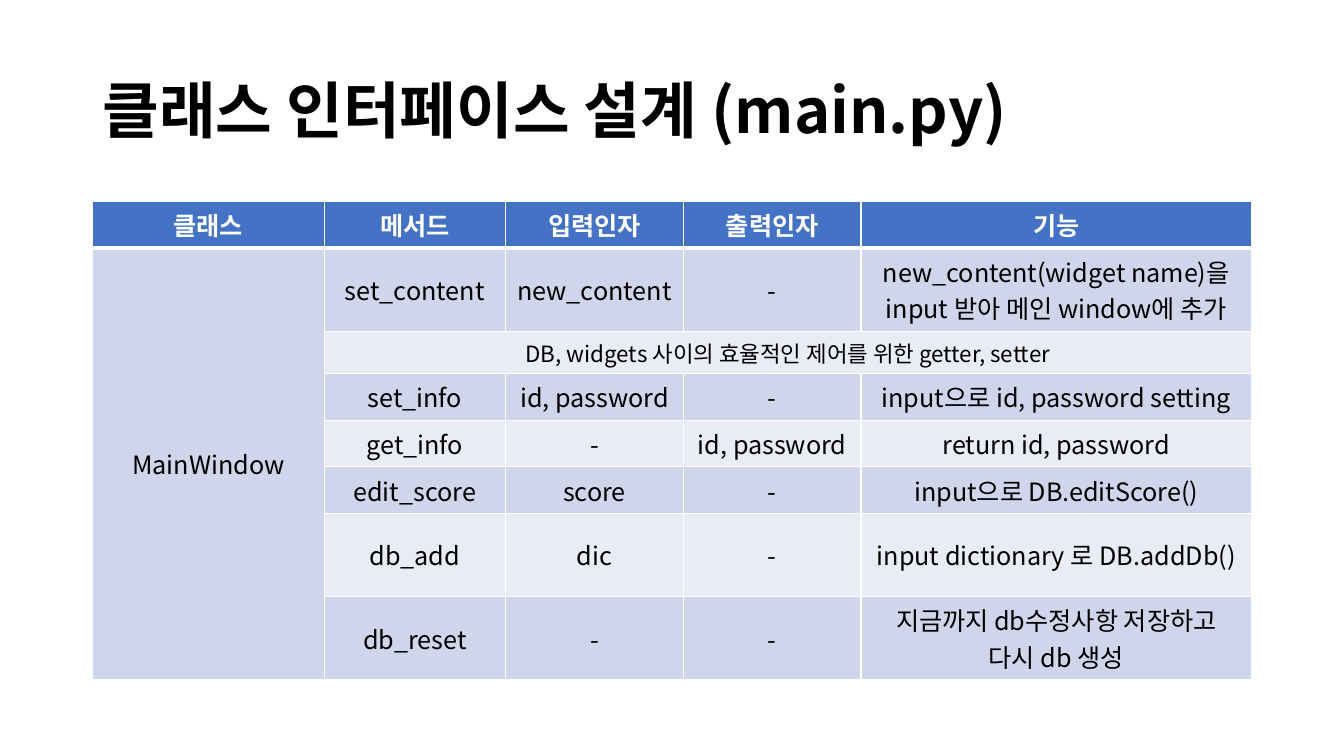
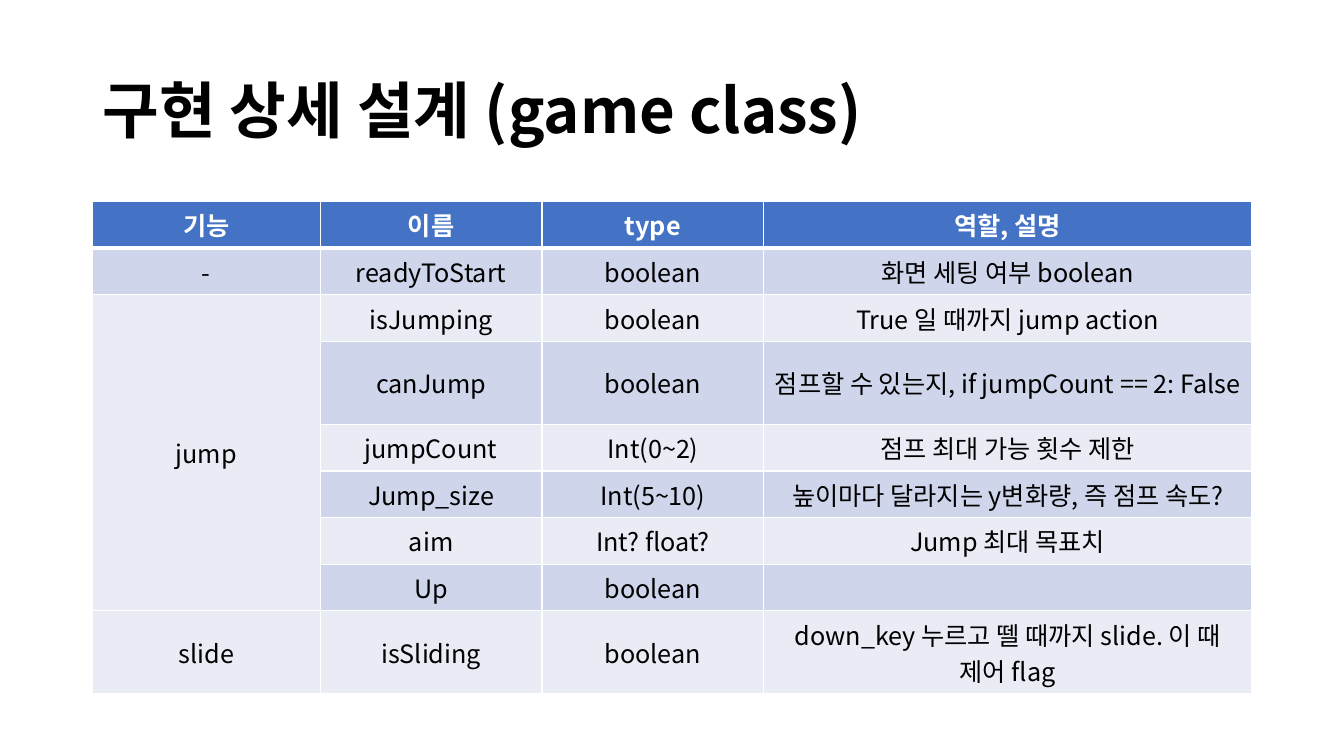
"""Builds two class design slides, each with a title and a table."""
import dataclasses

import lxml.etree
import pptx
import pptx.dml.color
import pptx.enum.text
import pptx.oxml.ns
import pptx.util

Cm = pptx.util.Cm
Pt = pptx.util.Pt
Align = pptx.enum.text.PP_ALIGN
qn = pptx.oxml.ns.qn


@dataclasses.dataclass(frozen=True)
class Theme:
    """Colours, type sizes and line widths of the deck."""
    font: str = "Noto Sans CJK KR"
    ink: str = "000000"
    paper: str = "FFFFFF"
    header: str = "4472C4"
    bands: tuple = ("E9EBF5", "CFD5EA")
    title_size: int = 44
    cell_size: int = 18
    note_size: int = 16
    rule: int = 1
    header_rule: int = 3


@dataclasses.dataclass(frozen=True)
class Box:
    """A region of the page, in centimetres."""
    left: float
    top: float
    width: float
    height: float


@dataclasses.dataclass(frozen=True)
class Sheet:
    """Content of one slide; merges hold first and last row and column."""
    title: str
    columns: tuple
    rows: tuple
    merges: tuple


THEME = Theme()
TITLE_BOX = Box(2.33, 1.01, 29.21, 3.68)
TABLE_BOX = Box(2.33, 5.08, 29.21, 9.27)
ROW_HEIGHT = 1.03

SHEETS = (
    Sheet(
        "클래스 인터페이스 설계 (main.py)",
        (5.84, 4.57, 4.48, 4.48, 9.84),
        (
            ("클래스", "메서드", "입력인자", "출력인자", "기능"),
            ("MainWindow", "set_content", "new_content", "-",
             "new_content(widget name)을 input 받아 메인 window에 추가"),
            ("", "DB, widgets 사이의 효율적인 제어를 위한 getter, setter", "", "", ""),
            ("", "set_info", "id, password", "-", "input으로 id, password setting"),
            ("", "get_info", "-", "id, password", "return id, password"),
            ("", "edit_score", "score", "-", "input으로 DB.editScore()"),
            ("", "db_add", "dic", "-", "input dictionary 로 DB.addDb()"),
            ("", "db_reset", "-", "-", "지금까지 db수정사항 저장하고 다시 db 생성"),
        ),
        ((1, 0, 7, 0), (2, 1, 2, 4)),
    ),
    Sheet(
        "구현 상세 설계 (game class)",
        (5.74, 5.59, 5.59, 12.29),
        (
            ("기능", "이름", "type", "역할, 설명"),
            ("-", "readyToStart", "boolean", "화면 세팅 여부 boolean"),
            ("jump", "isJumping", "boolean", "True 일 때까지 jump action"),
            ("", "canJump", "boolean", "점프할 수 있는지, if jumpCount == 2: False"),
            ("", "jumpCount", "Int(0~2)", "점프 최대 가능 횟수 제한"),
            ("", "Jump_size", "Int(5~10)", "높이마다 달라지는 y변화량, 즉 점프 속도?"),
            ("", "aim", "Int? float?", "Jump 최대 목표치"),
            ("", "Up", "boolean", ""),
            ("slide", "isSliding", "boolean",
             "down_key 누르고 뗄 때까지 slide. 이 때 제어 flag"),
        ),
        ((2, 0, 7, 0),),
    ),
)


def rgb(value):
    """Return the colour for a hex value."""
    return pptx.dml.color.RGBColor.from_string(value)


def style_paragraph(para, size, color, bold, align):
    """Set the font, also for Korean text, and the alignment."""
    para.alignment = align
    font = para.font
    font.name = THEME.font
    font.size = Pt(size)
    font.bold = bold
    font.color.rgb = rgb(color)
    properties = para._p.pPr.find(qn("a:defRPr"))
    lxml.etree.SubElement(properties, qn("a:ea"), typeface=THEME.font)


def set_borders(cell, bottom):
    """Rule the four sides of a cell, with its own width at the bottom."""
    properties = cell._tc.get_or_add_tcPr()
    widths = dict.fromkeys(("lnL", "lnR", "lnT"), THEME.rule) | {"lnB": bottom}
    for index, (side, width) in enumerate(widths.items()):
        line = lxml.etree.Element(qn(f"a:{side}"), w=str(Pt(width)))
        fill = lxml.etree.SubElement(line, qn("a:solidFill"))
        lxml.etree.SubElement(fill, qn("a:srgbClr"), val=THEME.paper)
        properties.insert(index, line)


def place_title(page, box, text):
    """Fill the title placeholder and move it to the box."""
    title = page.shapes.title
    title.left, title.top = Cm(box.left), Cm(box.top)
    title.width, title.height = Cm(box.width), Cm(box.height)
    frame = title.text_frame
    frame.text = text
    frame.auto_size = pptx.enum.text.MSO_AUTO_SIZE.NONE
    frame.vertical_anchor = pptx.enum.text.MSO_ANCHOR.MIDDLE
    para = frame.paragraphs[0]
    para.line_spacing = 0.9
    style_paragraph(para, THEME.title_size, THEME.ink, True, Align.LEFT)


def format_cell(cell, text, row):
    """Write one cell and give it the look of its row."""
    is_header = row == 0
    cell.fill.solid()
    cell.fill.fore_color.rgb = rgb(THEME.header if is_header else THEME.bands[row % 2])
    set_borders(cell, THEME.header_rule if is_header else THEME.rule)
    cell.vertical_anchor = pptx.enum.text.MSO_ANCHOR.MIDDLE
    if text:
        cell.text = text
        is_note = cell.is_merge_origin and cell.span_width > 1
        size = THEME.note_size if is_note else THEME.cell_size
        color = THEME.paper if is_header else THEME.ink
        style_paragraph(cell.text_frame.paragraphs[0], size, color, is_header, Align.CENTER)


def place_table(page, box, sheet):
    """Draw the banded table of a sheet in the box."""
    table = page.shapes.add_table(
        len(sheet.rows), len(sheet.columns),
        Cm(box.left), Cm(box.top), Cm(box.width), Cm(box.height)).table
    for column, width in zip(table.columns, sheet.columns):
        column.width = Cm(width)
    for row in table.rows:
        row.height = Cm(ROW_HEIGHT)
    for top, left, bottom, right in sheet.merges:
        table.cell(top, left).merge(table.cell(bottom, right))
    for row, texts in enumerate(sheet.rows):
        for column, text in enumerate(texts):
            format_cell(table.cell(row, column), text, row)


def add_sheet(deck, sheet):
    """Add a slide with a title above a table."""
    page = deck.slides.add_slide(deck.slide_layouts.get_by_name("Title Only"))
    place_title(page, TITLE_BOX, sheet.title)
    place_table(page, TABLE_BOX, sheet)


def main():
    """Build and save the deck."""
    deck = pptx.Presentation()
    deck.slide_width, deck.slide_height = Cm(33.87), Cm(19.05)
    for sheet in SHEETS:
        add_sheet(deck, sheet)
    deck.save("out.pptx")


if __name__ == "__main__":
    main()
